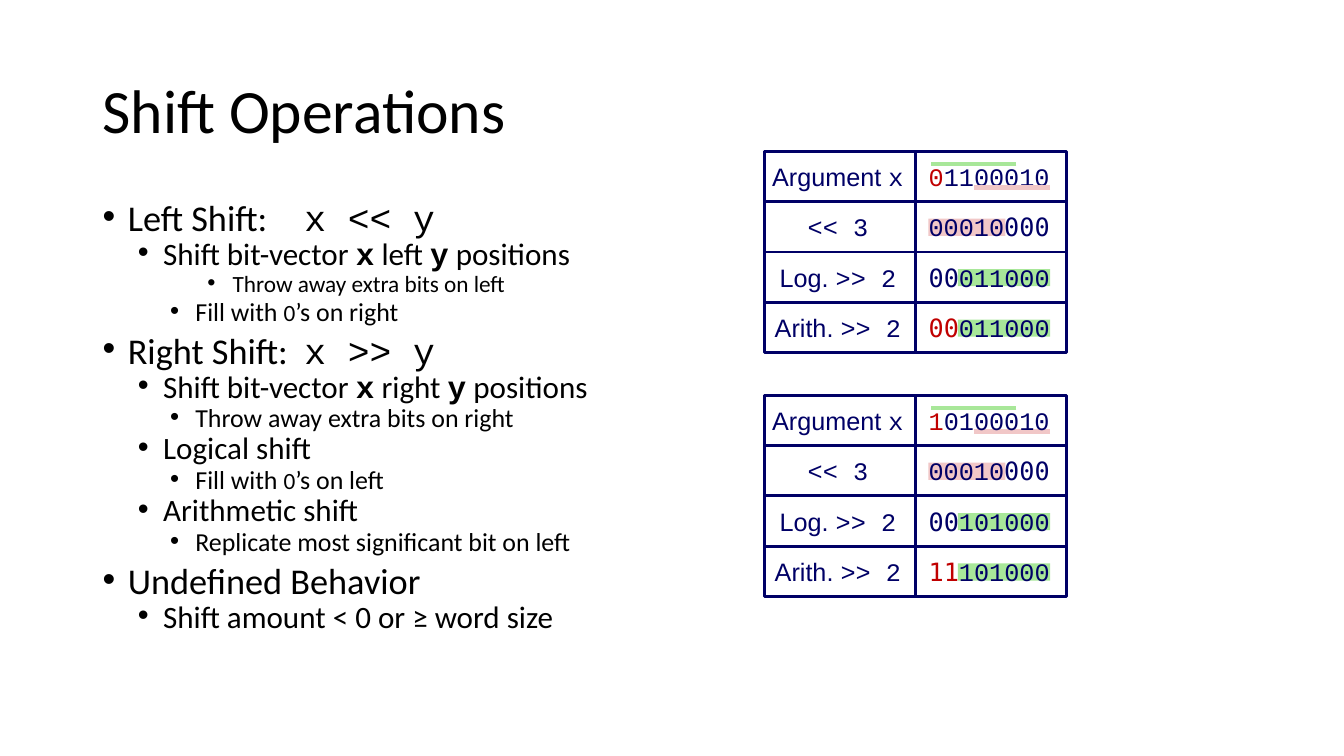
import dataclasses
import typing

import lxml.etree
import pptx
import pptx.dml.color
import pptx.enum.shapes
import pptx.enum.text
import pptx.oxml.ns
import pptx.util

SLIDE_WIDTH, SLIDE_HEIGHT = 13.33, 7.5
COLUMN, ROW = 1.5, 0.5
GRID_LEFT = 7.58
BITS_LEFT, BIT = 9.2, 0.15
NAVY, RED, BLACK = "000066", "C00000", "000000"
GREEN, PINK = "A8E799", "F1C7C7"
SANS, ARIAL, CODE, MONO = "Calibri", "Arial", "Courier New", "DejaVu Sans Mono"


@dataclasses.dataclass(frozen=True)
class Piece:
    text: str
    font: typing.Optional[str] = None
    color: typing.Optional[str] = None
    size: typing.Optional[float] = None
    bold: typing.Optional[bool] = None


@dataclasses.dataclass(frozen=True)
class Level:
    size: float
    margin: float
    space_before: float


@dataclasses.dataclass(frozen=True)
class Point:
    level: int
    pieces: tuple[Piece, ...]


@dataclasses.dataclass(frozen=True)
class Mark:
    row: float
    first_bit: float
    bits: float
    color: str


@dataclasses.dataclass(frozen=True)
class Example:
    top: float
    sign: str
    argument: str
    shifted: str
    arithmetic_fill: str
    rules_in_front: bool


LEVELS = (Level(25.9, 0.25, 10), Level(22.2, 0.6, 5),
          Level(18.5, 0.92, 5), Level(16.6, 1.29, 5))


def shift_point(side: str) -> Point:
    return Point(1, (Piece("Shift bit-vector "), Piece("x", CODE, bold=True),
                     Piece(f" {side} "), Piece("y", CODE, bold=True),
                     Piece(" positions")))


def fill_point(side: str) -> Point:
    return Point(2, (Piece("Fill with "), Piece("0", size=16.6), Piece(f"’s on {side}")))


POINTS = (
    Point(0, (Piece("Left Shift: \t"), Piece("x << y", CODE))),
    shift_point("left"),
    Point(3, (Piece("Throw away extra bits on left"),)),
    fill_point("right"),
    Point(0, (Piece("Right Shift: \t"), Piece("x >> y", CODE))),
    shift_point("right"),
    Point(2, (Piece("Throw away extra bits on right"),)),
    Point(1, (Piece("Logical shift"),)),
    fill_point("left"),
    Point(1, (Piece("Arithmetic shift"),)),
    Point(2, (Piece("Replicate most significant bit on left"),)),
    Point(0, (Piece("Undefined Behavior"),)),
    Point(1, (Piece("Shift amount < 0 or ≥ word size"),)),
)
HIGHLIGHTS = (Mark(1.34, 0.05, 5.1, PINK), Mark(2.34, 2, 6.1, GREEN),
              Mark(3.34, 2, 6.1, GREEN))
RULES = (Mark(0.72, 3.1, 5, PINK), Mark(0.25, 0.2, 5.67, GREEN))
EXAMPLES = (Example(3.92, "1", "0100010", "101000", "11", False),
            Example(1.5, "0", "1100010", "011000", "00", True))


def rgb(color: str) -> pptx.dml.color.RGBColor:
    return pptx.dml.color.RGBColor.from_string(color)


def add_pieces(paragraph, pieces: tuple[Piece, ...], size: float, color: str,
               font: typing.Optional[str] = None) -> None:
    paragraph.font.size = pptx.util.Pt(size)
    paragraph.font.color.rgb = rgb(color)
    if font:
        paragraph.font.name = font
    for piece in pieces:
        run = paragraph.add_run()
        run.text = piece.text
        if piece.font:
            run.font.name = piece.font
        if piece.color:
            run.font.color.rgb = rgb(piece.color)
        if piece.size:
            run.font.size = pptx.util.Pt(piece.size)
        if piece.bold:
            run.font.bold = True


def add_frame(slide, top: float, height: float):
    frame = slide.shapes.add_textbox(
        pptx.util.Inches(0.069 * SLIDE_WIDTH), pptx.util.Inches(top * SLIDE_HEIGHT),
        pptx.util.Inches(0.863 * SLIDE_WIDTH), pptx.util.Inches(height * SLIDE_HEIGHT),
    ).text_frame
    frame.word_wrap = True
    return frame


def add_title(slide) -> None:
    frame = add_frame(slide, 0.053, 0.193)
    frame.vertical_anchor = pptx.enum.text.MSO_ANCHOR.MIDDLE
    frame.paragraphs[0].line_spacing = 0.9
    add_pieces(frame.paragraphs[0], (Piece("Shift Operations"),), 44, BLACK, SANS)


def add_points(slide) -> None:
    frame = add_frame(slide, 0.267, 0.635)
    for index, point in enumerate(POINTS):
        paragraph = frame.add_paragraph() if index else frame.paragraphs[0]
        level = LEVELS[point.level]
        paragraph.level = point.level
        paragraph.line_spacing = 0.7
        paragraph.space_before = pptx.util.Pt(level.space_before)
        properties = paragraph._p.get_or_add_pPr()
        properties.set("marL", str(pptx.util.Inches(level.margin)))
        properties.set("indent", str(pptx.util.Inches(-0.25)))
        for tag, key, value in (("a:buFont", "typeface", ARIAL), ("a:buChar", "char", "•")):
            lxml.etree.SubElement(properties, pptx.oxml.ns.qn(tag)).set(key, value)
        add_pieces(paragraph, point.pieces, level.size, BLACK, SANS)


def add_rectangle(slide, left: float, top: float, width: float, height: float):
    rectangle = slide.shapes.add_shape(
        pptx.enum.shapes.MSO_SHAPE.RECTANGLE, pptx.util.Inches(left),
        pptx.util.Inches(top), pptx.util.Inches(width), pptx.util.Inches(height))
    rectangle.shadow.inherit = False
    return rectangle


def add_highlight(slide, top: float, mark: Mark) -> None:
    highlight = add_rectangle(slide, BITS_LEFT + mark.first_bit * BIT,
                              top + mark.row * ROW, mark.bits * BIT, 0.34 * ROW)
    highlight.fill.solid()
    highlight.fill.fore_color.rgb = rgb(mark.color)
    highlight.line.fill.background()


def add_rule(slide, top: float, mark: Mark) -> None:
    left = BITS_LEFT + mark.first_bit * BIT
    height = pptx.util.Inches(top + mark.row * ROW)
    rule = slide.shapes.add_connector(
        pptx.enum.shapes.MSO_CONNECTOR.STRAIGHT,
        pptx.util.Inches(left + mark.bits * BIT), height, pptx.util.Inches(left), height)
    rule.line.color.rgb = rgb(mark.color)
    rule.line.width = pptx.util.Pt(3)
    lxml.etree.SubElement(rule._element.spPr, pptx.oxml.ns.qn("a:effectLst"))


def add_cell(slide, top: float, column: int, row: int, pieces: tuple[Piece, ...]) -> None:
    cell = add_rectangle(slide, GRID_LEFT + column * COLUMN, top + row * ROW, COLUMN, ROW)
    cell.fill.background()
    cell.line.color.rgb = rgb(NAVY)
    cell.line.width = pptx.util.Pt(2)
    frame = cell.text_frame
    frame.word_wrap = False
    frame.vertical_anchor = pptx.enum.text.MSO_ANCHOR.MIDDLE
    frame.margin_left = frame.margin_top = frame.margin_bottom = pptx.util.Inches(0.06)
    frame.margin_right = pptx.util.Inches(0.1)
    frame.paragraphs[0].alignment = pptx.enum.text.PP_ALIGN.CENTER
    add_pieces(frame.paragraphs[0], pieces, 18, NAVY)


def add_example(slide, example: Example) -> None:
    rows = (
        ((Piece("Argument ", ARIAL), Piece("x", CODE)),
         (Piece(example.sign, CODE, RED), Piece(example.argument, CODE))),
        ((Piece("<< 3", CODE),), (Piece("00010", CODE), Piece("000", MONO))),
        ((Piece("Log. ", ARIAL), Piece(">> 2", CODE)),
         (Piece("00", MONO), Piece(example.shifted, CODE))),
        ((Piece("Arith. ", ARIAL), Piece(">> 2", CODE)),
         (Piece(example.arithmetic_fill, MONO, RED), Piece(example.shifted, CODE))),
    )
    for mark in HIGHLIGHTS:
        add_highlight(slide, example.top, mark)
    if not example.rules_in_front:
        add_rules(slide, example.top)
    for row, cells in enumerate(rows):
        for column, pieces in enumerate(cells):
            add_cell(slide, example.top, column, row, pieces)
    if example.rules_in_front:
        add_rules(slide, example.top)


def add_rules(slide, top: float) -> None:
    for mark in RULES:
        add_rule(slide, top, mark)


def main() -> None:
    deck = pptx.Presentation()
    deck.slide_width = pptx.util.Inches(SLIDE_WIDTH)
    deck.slide_height = pptx.util.Inches(SLIDE_HEIGHT)
    slide = deck.slides.add_slide(deck.slide_layouts[6])
    add_title(slide)
    add_points(slide)
    for example in EXAMPLES:
        add_example(slide, example)
    deck.save("out.pptx")


if __name__ == "__main__":
    main()
